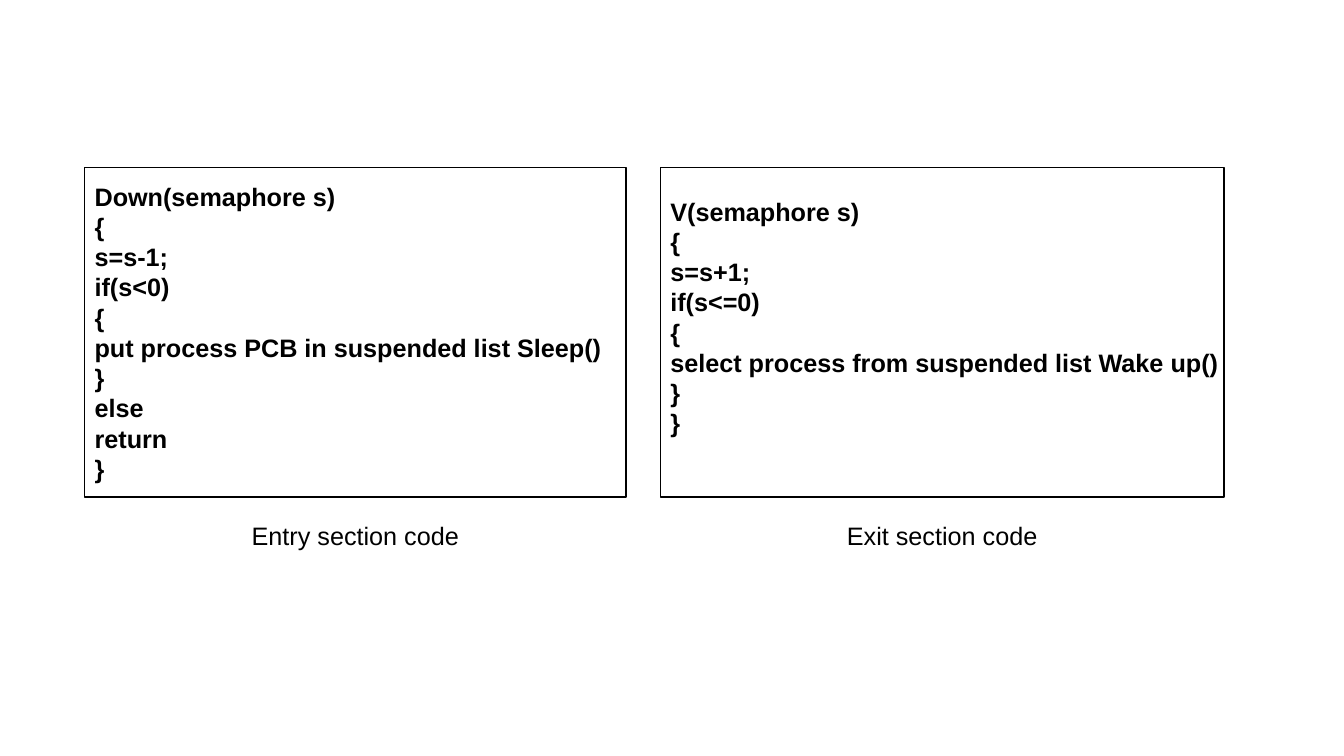
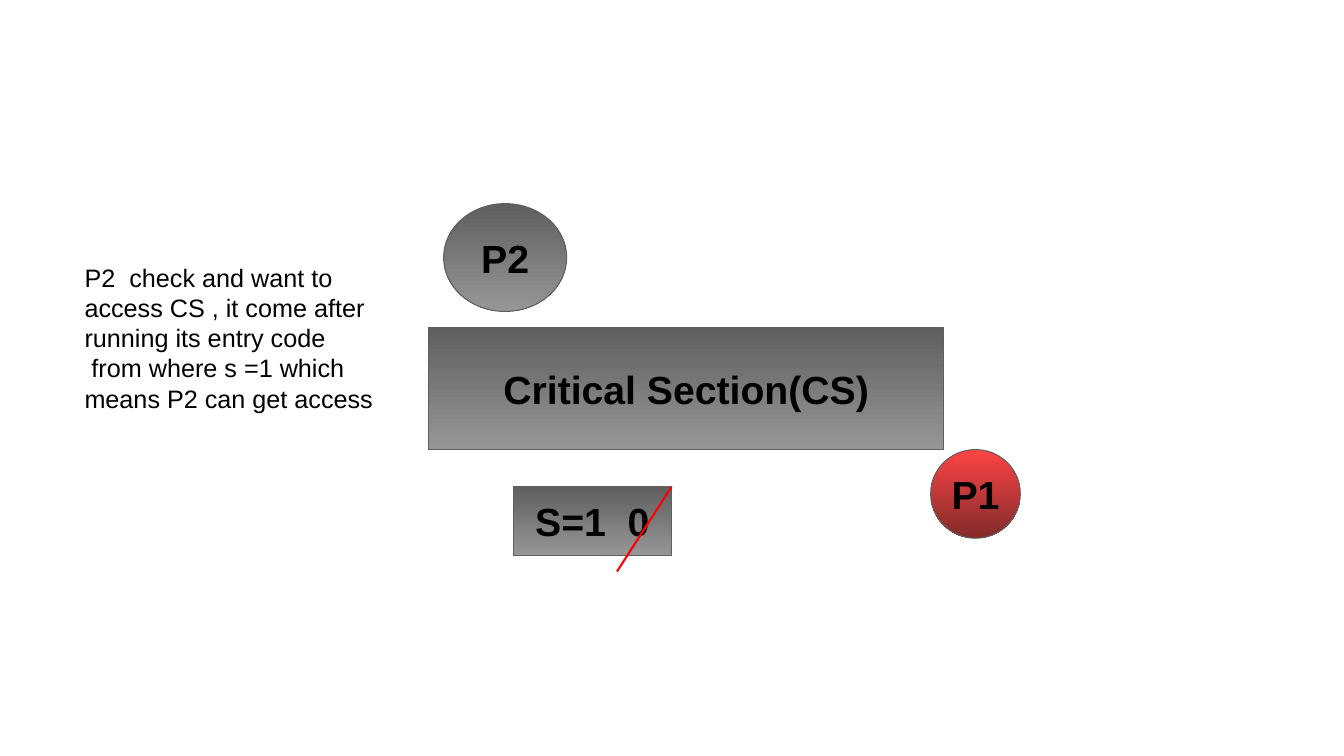
from lxml import etree
from pptx import Presentation
from pptx.dml.color import RGBColor
from pptx.enum.shapes import MSO_CONNECTOR, MSO_SHAPE
from pptx.enum.text import MSO_ANCHOR, MSO_AUTO_SIZE, PP_ALIGN
from pptx.oxml.ns import qn
from pptx.util import Inches, Pt

RECT, OVAL = MSO_SHAPE.RECTANGLE, MSO_SHAPE.OVAL
STRAIGHT = MSO_CONNECTOR.STRAIGHT
LEFT, CENTER = PP_ALIGN.LEFT, PP_ALIGN.CENTER
MIDDLE, GROW = MSO_ANCHOR.MIDDLE, MSO_AUTO_SIZE.SHAPE_TO_FIT_TEXT

SLIDE_W, SLIDE_H = 13.33, 7.5
BLACK, WHITE, RED, DARK_GRAY = "000000", "FFFFFF", "FF0000", "5F5F5F"
GRAY_FADE, RED_FADE = (DARK_GRAY, "969696"), ("FE4444", "832B2B")

BODY = {"size": Pt(18), "name": "Arial", "bold": False}
CODE = {**BODY, "bold": True}
LABEL = {**CODE, "size": Pt(28)}

# Code panels: left, width, bottom inset, code, caption
PANEL_TOP, PANEL_H = 1.66, 3.27
CAPTION_TOP, CAPTION_W, CAPTION_H = 5.11, 4.26, 0.4
PANELS = [
    (0.84, 5.37, 0.05,
     ["Down(semaphore s)", "{", "s=s-1;", "if(s<0)", "{",
      "put process PCB in suspended list Sleep()", "}", "else", "return", "}"],
     "Entry section code"),
    (6.55, 5.59, 0.35,
     ["V(semaphore s)", "{", "s=s+1;", "if(s<=0)", "{",
      "select process from suspended list Wake up()", "}", "}"],
     "Exit section code"),
]

# Diagram nodes: shape, box, gradient, label
NODES = [
    (RECT, (4.25, 3.25, 5.11, 1.21), GRAY_FADE, "Critical Section(CS)"),
    (OVAL, (9.23, 4.46, 0.89, 0.88), RED_FADE, "P1"),
    (RECT, (5.09, 4.83, 1.57, 0.68), GRAY_FADE, "S=1  0"),
    (OVAL, (4.4, 2.02, 1.22, 1.07), GRAY_FADE, "P2"),
]
NOTE_BOX = (0.74, 2.55, 3.34, 1.61)
NOTE = ["P2  check and want to access CS , it come after running its entry code",
        " from where s =1 which means P2 can get access "]
STRIKE = (6.12, 5.67, 6.66, 4.83)


def rgb(value):
    """Return the colour of a hex string."""
    return RGBColor.from_string(value)


def inches(values):
    """Convert numbers to slide lengths."""
    return [Inches(v) for v in values]


def write(tf, lines, font, align):
    """Write one paragraph per line in the given font."""
    for i, line in enumerate(lines):
        p = tf.paragraphs[0] if i == 0 else tf.add_paragraph()
        p.alignment = align
        r = p.add_run()
        r.text = line
        for key, value in font.items():
            setattr(r.font, key, value)
        r.font.color.rgb = rgb(BLACK)


def add_text(s, box, lines, align):
    """Add a wrapping text box."""
    tf = s.shapes.add_textbox(*inches(box)).text_frame
    tf.word_wrap, tf.auto_size = True, GROW
    write(tf, lines, BODY, align)


def add_box(s, kind, box, line, width, lines, font, align):
    """Add an outlined shape with vertically centred, unwrapped text."""
    sp = s.shapes.add_shape(kind, *inches(box))
    sp.shadow.inherit = False
    sp.line.color.rgb, sp.line.width = rgb(line), Pt(width)
    tf = sp.text_frame
    tf.word_wrap, tf.vertical_anchor = False, MIDDLE
    write(tf, lines, font, align)
    return sp


def add_strike(s, ends):
    """Add a red line without shadow."""
    line = s.shapes.add_connector(STRAIGHT, *inches(ends))
    line.line.color.rgb, line.line.width = rgb(RED), Pt(1.5)
    etree.SubElement(line._element.spPr, qn("a:effectLst"))


def build_code(s):
    """Show the entry and exit code side by side."""
    for left, width, inset, code, caption in PANELS:
        sp = add_box(s, RECT, (left, PANEL_TOP, width, PANEL_H),
                     BLACK, 1, code, CODE, LEFT)
        sp.fill.solid()
        sp.fill.fore_color.rgb = rgb(WHITE)
        sp.text_frame.margin_bottom = Inches(inset)
        caption_left = left + (width - CAPTION_W) / 2
        add_text(s, (caption_left, CAPTION_TOP, CAPTION_W, CAPTION_H),
                 [caption], CENTER)


def build_diagram(s):
    """Show the processes around the critical section."""
    for kind, box, fade, label in NODES:
        sp = add_box(s, kind, box, DARK_GRAY, 0.75, [label], LABEL, CENTER)
        sp.fill.gradient()
        sp.fill.gradient_angle = 270
        for stop, color in zip(sp.fill.gradient_stops, fade):
            stop.color.rgb = rgb(color)
    add_text(s, NOTE_BOX, NOTE, LEFT)
    add_strike(s, STRIKE)


prs = Presentation()
prs.slide_width, prs.slide_height = inches((SLIDE_W, SLIDE_H))
for build in (build_code, build_diagram):
    build(prs.slides.add_slide(prs.slide_layouts[6]))
prs.save("out.pptx")
